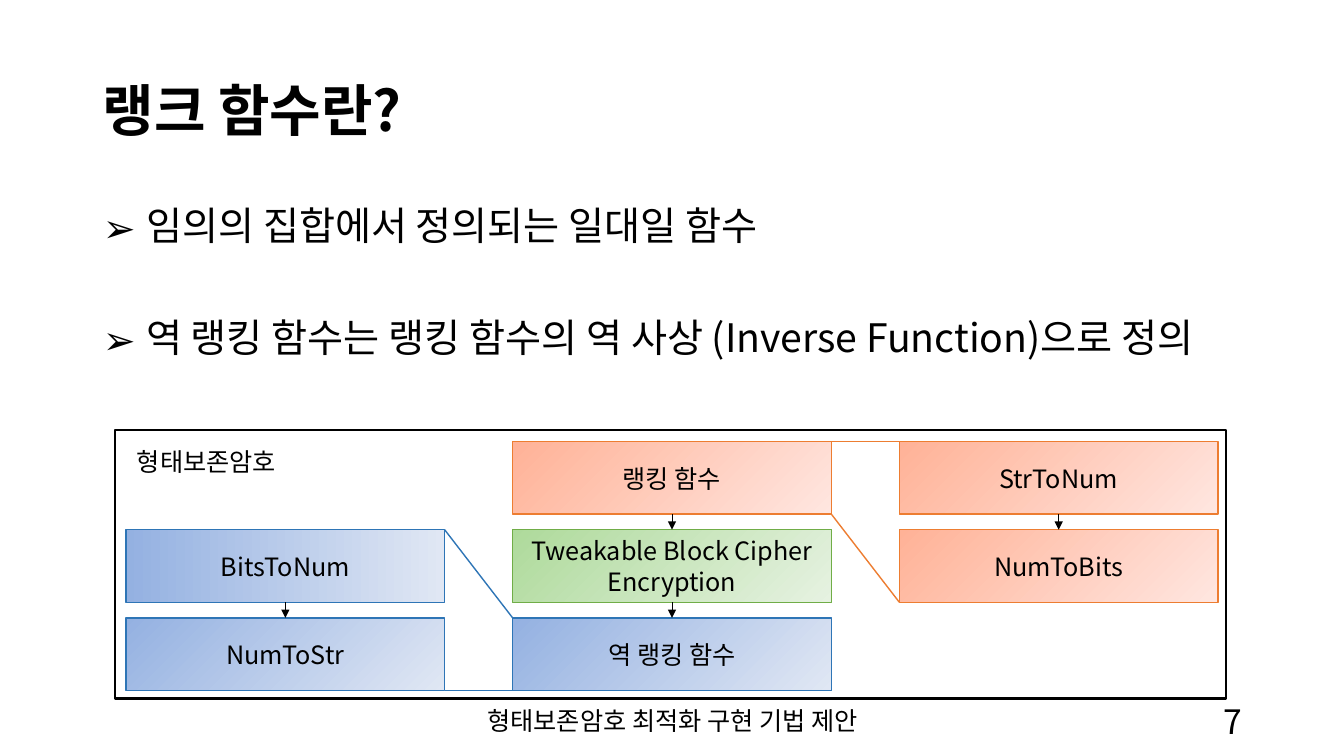
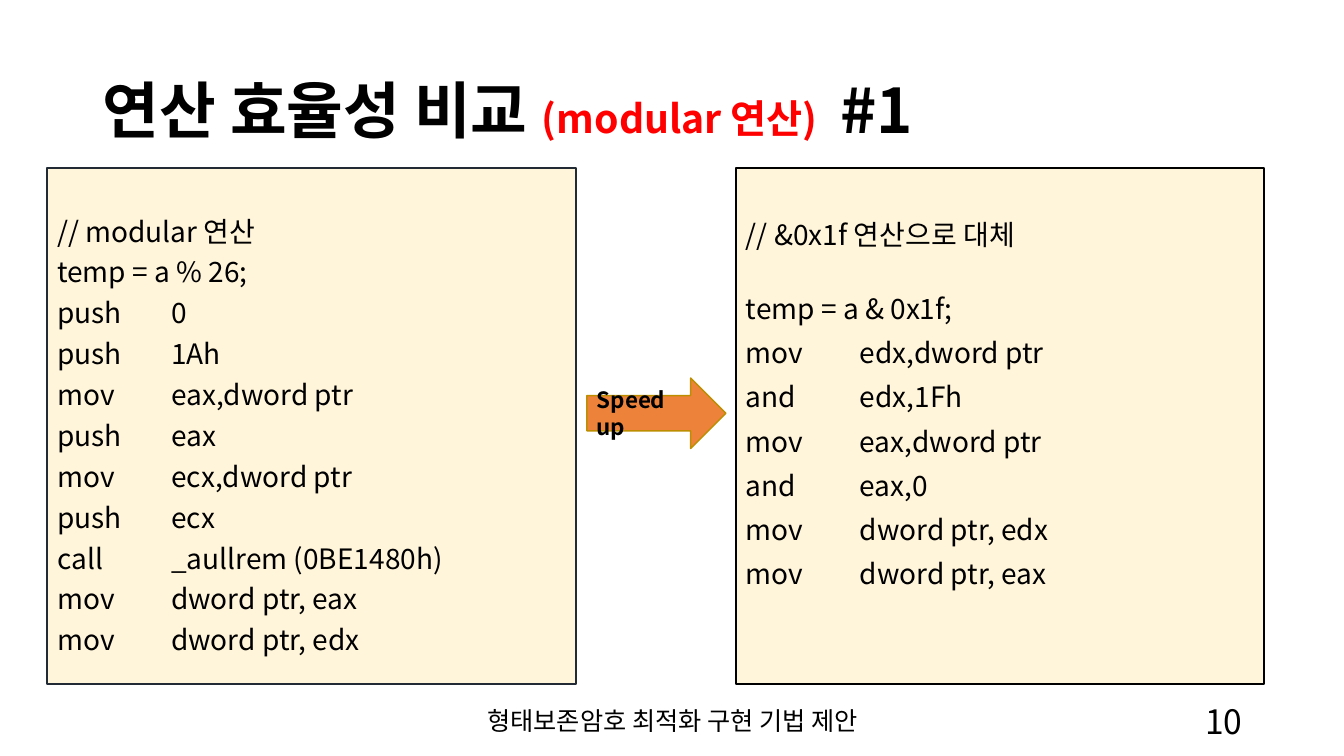
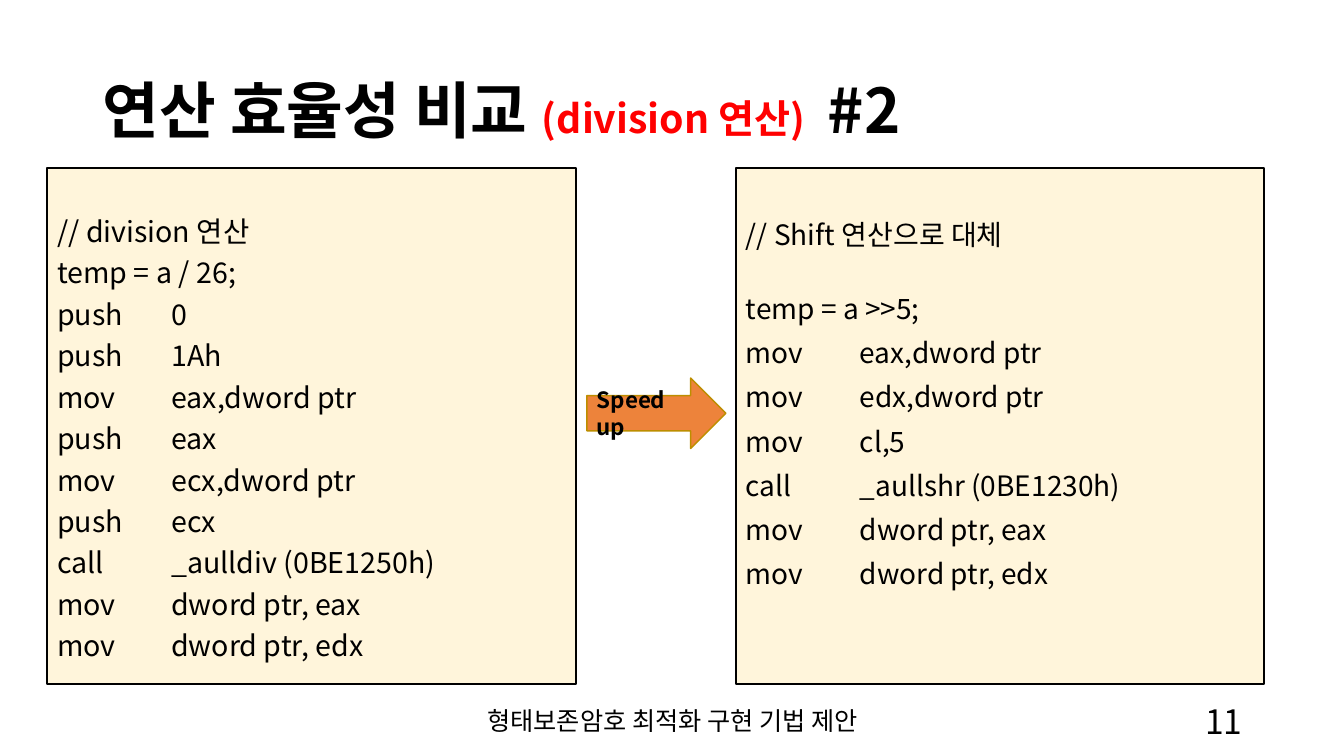
"""Build three slides on rank functions and faster arithmetic for format-preserving encryption."""
import pptx
import pptx.util
import pptx.dml.color
import pptx.enum.shapes
import pptx.enum.text
import pptx.oxml.ns
import lxml.etree

Inches = pptx.util.Inches
Pt = pptx.util.Pt
RGB = pptx.dml.color.RGBColor
Kind = pptx.enum.shapes.MSO_SHAPE
Line = pptx.enum.shapes.MSO_CONNECTOR.STRAIGHT
Align = pptx.enum.text.PP_ALIGN
Anchor = pptx.enum.text.MSO_ANCHOR
qn = pptx.oxml.ns.qn
add = lxml.etree.SubElement

FONT = "Noto Sans CJK KR"
BLACK = RGB(0, 0, 0)
RED = RGB(0xFF, 0, 0)
CREAM = RGB(0xFF, 0xF2, 0xCC)
NAVY = RGB(0x22, 0x2A, 0x35)
GOLD = RGB(0xBD, 0x8E, 0x00)
ORANGE = RGB(0xED, 0x7D, 0x31)
BLUE = RGB(0x2E, 0x75, 0xB6)
GREEN = RGB(0x70, 0xAD, 0x47)
PEACH = (RGB(0xFF, 0xB2, 0x97), RGB(0xFF, 0xE6, 0xE0), ORANGE)
SKY = (RGB(0x94, 0xB1, 0xE1), RGB(0xE0, 0xE7, 0xF4), BLUE)
LEAF = (RGB(0xAE, 0xDA, 0x9B), RGB(0xE6, 0xF2, 0xE1), GREEN)


def say(para, text, size, bold=False, color=BLACK):
    run = para.add_run()
    run.text = text
    run.font.size = Pt(size)
    run.font.bold = bold
    run.font.color.rgb = color
    run.font.name = FONT
    add(run._r.get_or_add_rPr(), qn("a:ea"), typeface=FONT)


def draw(slide, kind, x, y, w, h, edge, width, fill=None, alpha=100):
    shape = slide.shapes.add_shape(kind, Inches(x), Inches(y), Inches(w), Inches(h))
    shape.shadow.inherit = False
    shape.line.color.rgb = edge
    shape.line.width = Pt(width)
    if fill is None:
        shape.fill.background()
    else:
        shape.fill.solid()
        shape.fill.fore_color.rgb = fill
        tint = shape._element.spPr.find(qn("a:solidFill"))[0]
        add(tint, qn("a:alpha"), val=str(alpha * 1000))
    return shape


deck = pptx.Presentation()
deck.slide_width = Inches(13.33)
deck.slide_height = Inches(7.5)

heads = [
    (1, "7", [("랭크 함수란?", 40, BLACK)]),
    (5, "10", [("연산 효율성 비교 ", 44, BLACK), ("(modular 연산) ", 28, RED), (" #1", 44, BLACK)]),
    (5, "11", [("연산 효율성 비교 ", 44, BLACK), ("(division 연산) ", 28, RED), (" #2", 44, BLACK)]),
]
slides = []
for layout, page, runs in heads:
    slide = deck.slides.add_slide(deck.slide_layouts[layout])
    slides.append(slide)
    title = slide.shapes.title
    title.left, title.top = Inches(0.92), Inches(0.4)
    title.width, title.height = Inches(11.5), Inches(1.45)
    frame = title.text_frame
    frame.auto_size = pptx.enum.text.MSO_AUTO_SIZE.NONE
    frame.vertical_anchor = Anchor.MIDDLE
    para = frame.paragraphs[0]
    para.alignment = Align.LEFT
    para.line_spacing = 0.9
    for text, size, color in runs:
        say(para, text, size, True, color)

    feet = [
        ("형태보존암호 최적화 구현 기법 제안", 4.42, 4.5, 18, Align.CENTER),
        (page, 9.42, 3, 24, Align.RIGHT),
    ]
    for text, x, w, size, align in feet:
        foot = slide.shapes.add_textbox(Inches(x), Inches(6.95), Inches(w), Inches(0.4))
        foot.text_frame.word_wrap = True
        foot.text_frame.vertical_anchor = Anchor.MIDDLE
        para = foot.text_frame.paragraphs[0]
        para.alignment = align
        say(para, text, size)

slide = slides[0]
body = slide.placeholders[1]
body.left, body.top = Inches(0.92), Inches(2)
body.width, body.height = Inches(11.92), Inches(1.83)
frame = body.text_frame
frame.auto_size = pptx.enum.text.MSO_AUTO_SIZE.NONE
points = [
    "임의의 집합에서 정의되는 일대일 함수",
    "역 랭킹 함수는 랭킹 함수의 역 사상 (Inverse Function)으로 정의",
]
for row, text in enumerate(points):
    para = frame.add_paragraph() if row else frame.paragraphs[0]
    para.line_spacing = Pt(30)
    para.space_before = Pt(50 * row)
    prop = para._p.get_or_add_pPr()
    prop.set("marL", str(Inches(0.43)))
    prop.set("indent", str(-Inches(0.43)))
    add(prop, qn("a:buFont"), typeface=FONT)
    add(prop, qn("a:buChar"), char="➢")
    say(para, text, 28)

LEFT, TOP, COL, ROW = 1.25, 4.38, 3.835, 0.875
WIDE, HIGH = 3.16, 0.72
cells = [
    (1, 0, "랭킹 함수", PEACH, 315),
    (1, 1, "Tweakable Block Cipher\nEncryption", LEAF, 315),
    (1, 2, "역 랭킹 함수", SKY, 315),
    (2, 0, "StrToNum", PEACH, 315),
    (2, 1, "NumToBits", PEACH, 315),
    (0, 1, "BitsToNum", SKY, 0),
    (0, 2, "NumToStr", SKY, 315),
]
boxes = {}
for col, row, text, (dark, light, edge), angle in cells:
    box = draw(slide, Kind.RECTANGLE, LEFT + col * COL, TOP + row * ROW, WIDE, HIGH, edge, 1)
    box.fill.gradient()
    box.fill.gradient_angle = angle
    for stop, color in zip(box.fill.gradient_stops, (dark, light)):
        stop.color.rgb = color
    box.text_frame.vertical_anchor = Anchor.MIDDLE
    for num, part in enumerate(text.split("\n")):
        para = box.text_frame.add_paragraph() if num else box.text_frame.paragraphs[0]
        para.alignment = Align.CENTER
        para.line_spacing = Pt(22)
        say(para, part, 18)
    boxes[col, row] = box

links = []
for (col, row), box in boxes.items():
    if (col, row + 1) in boxes:
        link = slide.shapes.add_connector(Line, 0, 0, 0, 0)
        link.begin_connect(box, 2)
        link.end_connect(boxes[col, row + 1], 0)
        link.line.color.rgb = BLACK
        link.line.width = Pt(0.5)
        add(link.line._get_or_add_ln(), qn("a:tailEnd"), type="triangle")
        links.append(link)

one = LEFT + WIDE
two = one + COL
wires = [
    (two, TOP, TOP, ORANGE),
    (two, TOP + HIGH, TOP + ROW + HIGH, ORANGE),
    (one, TOP + ROW, TOP + 2 * ROW, BLUE),
    (one, TOP + 2 * ROW + HIGH, TOP + 2 * ROW + HIGH, BLUE),
]
for x, start, end, color in wires:
    link = slide.shapes.add_connector(
        Line, Inches(x), Inches(start), Inches(x + COL - WIDE), Inches(end))
    link.line.color.rgb = color
    link.line.width = Pt(1)
    links.append(link)
for link in links:
    add(link._element.spPr, qn("a:effectLst"))

draw(slide, Kind.RECTANGLE, 1.14, 4.27, 11.02, 2.66, BLACK, 1.5)
label = slide.shapes.add_textbox(Inches(1.26), Inches(TOP), Inches(1.72), Inches(0.4))
label.text_frame.word_wrap = False
say(label.text_frame.paragraphs[0], "형태보존암호", 18)

slow = [
    "push\t0", "push\t1Ah", "mov\teax,dword ptr", "push\teax",
    "mov\tecx,dword ptr", "push\tecx",
]
save = ["mov\tdword ptr, eax", "mov\tdword ptr, edx"]
pairs = [
    (slides[1], NAVY, 20,
     ["// modular 연산", "temp = a % 26;", *slow, "call\t_aullrem (0BE1480h)", *save],
     ["// &0x1f 연산으로 대체", "temp = a & 0x1f;", "mov\tedx,dword ptr", "and\tedx,1Fh",
      "mov\teax,dword ptr", "and\teax,0", *reversed(save)]),
    (slides[2], BLACK, 20.4,
     ["// division 연산", "temp = a / 26;", *slow, "call\t_aulldiv (0BE1250h)", *save],
     ["// Shift 연산으로 대체", "temp = a >>5;", "mov\teax,dword ptr", "mov\tedx,dword ptr",
      "mov\tcl,5", "call\t_aullshr (0BE1230h)", *save]),
]
for slide, edge, size, before, after in pairs:
    panes = [
        (0.47, edge, size, 0.96, 10, before),
        (7.3, BLACK, 20, 1.08, 31.3, after),
    ]
    for x, rim, size, pitch, gap, code in panes:
        pane = draw(slide, Kind.RECTANGLE, x, 1.67, 5.24, 5.12, rim, 1.5, CREAM, 70)
        frame = pane.text_frame
        frame.vertical_anchor = Anchor.TOP
        frame.margin_top = Inches(0.52)
        for row, text in enumerate(code):
            para = frame.add_paragraph() if row else frame.paragraphs[0]
            para.alignment = Align.LEFT
            para.line_spacing = Pt(size * pitch)
            para.space_before = Pt((0, gap)[row] if row < 2 else 10)
            tabs = add(para._p.get_or_add_pPr(), qn("a:tabLst"))
            add(tabs, qn("a:tab"), pos=str(Inches(1.13)), algn="l")
            say(para, text, size)

    arrow = draw(slide, Kind.RIGHT_ARROW, 5.82, 3.75, 1.38, 0.7, GOLD, 1, ORANGE, 95)
    arrow.text_frame.vertical_anchor = Anchor.MIDDLE
    para = arrow.text_frame.paragraphs[0]
    para.alignment = Align.LEFT
    para.line_spacing = Pt(19)
    say(para, "Speed up", 16, True)

deck.save("out.pptx")
